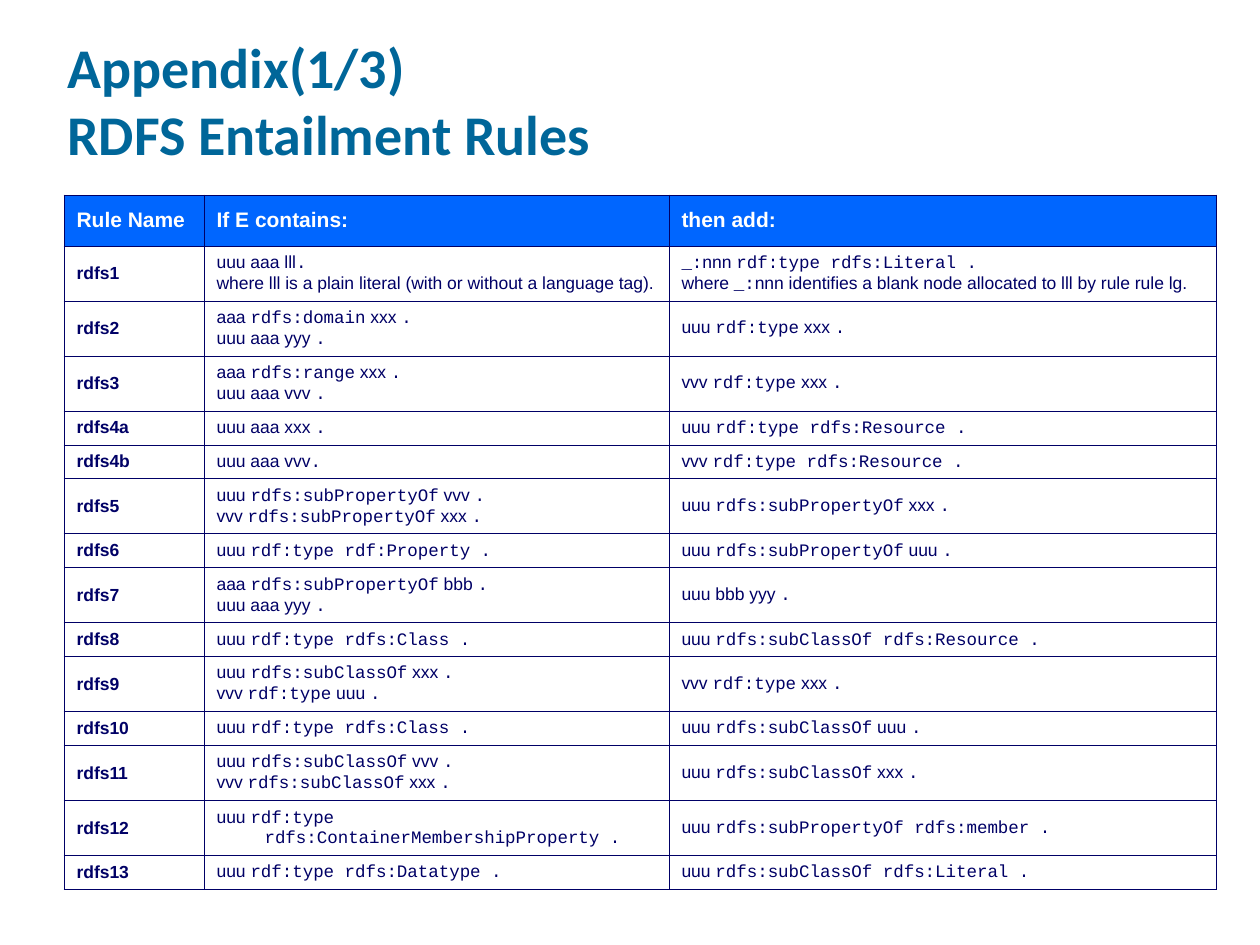
from lxml.etree import SubElement
from pptx import Presentation
from pptx.dml.color import RGBColor
from pptx.enum.text import MSO_ANCHOR
from pptx.oxml.ns import qn
from pptx.util import Pt

PX = 914400 // 126
NAVY, BLUE, TEAL, WHITE = "000066", "0066FF", "006699", "FFFFFF"

TITLE = "Appendix(1/3)\vRDFS Entailment Rules"
HEADINGS = ("Rule Name", "If E contains:", "then add:")
RULES = [
    ("rdfs1",
     "uuu aaa lll`.`\nwhere lll is a plain literal (with or without a language tag).",
     "`_:`nnn `rdf:type rdfs:Literal .`\n"
     "where `_:`nnn identifies a blank node allocated to lll by rule rule lg."),
    ("rdfs2", "aaa `rdfs:domain` xxx `.`\nuuu aaa yyy `.`", "uuu `rdf:type` xxx `.`"),
    ("rdfs3", "aaa `rdfs:range` xxx `.`\nuuu aaa vvv `.`", "vvv `rdf:type` xxx `.`"),
    ("rdfs4a", "uuu aaa xxx `.`", "uuu `rdf:type rdfs:Resource .`"),
    ("rdfs4b", "uuu aaa vvv`.`", "vvv `rdf:type rdfs:Resource .`"),
    ("rdfs5", "uuu `rdfs:subPropertyOf` vvv `.`\nvvv `rdfs:subPropertyOf` xxx `.`",
     "uuu `rdfs:subPropertyOf` xxx `.`"),
    ("rdfs6", "uuu `rdf:type rdf:Property .`", "uuu `rdfs:subPropertyOf` uuu `.`"),
    ("rdfs7", "aaa `rdfs:subPropertyOf` bbb `.`\nuuu aaa yyy `.`", "uuu bbb yyy `.`"),
    ("rdfs8", "uuu `rdf:type rdfs:Class .`", "uuu `rdfs:subClassOf rdfs:Resource .`"),
    ("rdfs9", "uuu `rdfs:subClassOf` xxx `.`\nvvv `rdf:type` uuu `.`", "vvv `rdf:type` xxx `.`"),
    ("rdfs10", "uuu `rdf:type rdfs:Class .`", "uuu `rdfs:subClassOf` uuu `.`"),
    ("rdfs11", "uuu `rdfs:subClassOf` vvv `.`\nvvv `rdfs:subClassOf` xxx `.`",
     "uuu `rdfs:subClassOf` xxx `.`"),
    ("rdfs12", "uuu `rdf:type rdfs:ContainerMembershipProperty .`",
     "uuu `rdfs:subPropertyOf rdfs:member .`"),
    ("rdfs13", "uuu `rdf:type rdfs:Datatype .`", "uuu `rdfs:subClassOf rdfs:Literal .`"),
]
COLUMN_WIDTHS = (140, 465, 547)
HEADING_HEIGHT, ONE_LINE, TWO_LINES = 51, 34, 55
TABLE_LEFT, TABLE_TOP = 64, 195
HANGING_INDENT = 48


def color(value):
    return RGBColor.from_string(value)


def write(frame, text, size=10, fill=NAVY, bold=False, font="Arial", indent=0):
    for number, line in enumerate(text.split("\n")):
        paragraph = frame.add_paragraph() if number else frame.paragraphs[0]
        if indent:
            properties = paragraph._p.get_or_add_pPr()
            properties.set("marL", str(indent * PX))
            properties.set("indent", str(-indent * PX))
        for position, piece in enumerate(line.split("`")):
            for part, words in enumerate(piece.split("\v")):
                if part:
                    paragraph.add_line_break()
                if words:
                    run = paragraph.add_run()
                    run.text = words
                    run.font.name = "Courier New" if position % 2 else font
                    run.font.size = Pt(size)
                    run.font.bold = bold
                    run.font.color.rgb = color(fill)


def outline(cell):
    properties = cell._tc.get_or_add_tcPr()
    for number, side in enumerate(("lnL", "lnR", "lnT", "lnB")):
        border = properties.makeelement(qn(f"a:{side}"), {"w": str(Pt(0.45))})
        solid = SubElement(border, qn("a:solidFill"))
        SubElement(solid, qn("a:srgbClr"), val=NAVY)
        properties.insert(number, border)


def add_title(slide):
    title = slide.shapes.add_textbox(55 * PX, 15 * PX, 1071 * PX, 158 * PX).text_frame
    title.word_wrap = True
    title.vertical_anchor = MSO_ANCHOR.BOTTOM
    write(title, TITLE, size=32, fill=TEAL, bold=True, font="Calibri")


def add_rules(slide):
    rows = [HEADINGS, *RULES]
    heights = [HEADING_HEIGHT] + [
        TWO_LINES if "\n" in condition else ONE_LINE for _, condition, _ in RULES
    ]
    table = slide.shapes.add_table(
        len(rows), len(COLUMN_WIDTHS), TABLE_LEFT * PX, TABLE_TOP * PX,
        sum(COLUMN_WIDTHS) * PX, sum(heights) * PX,
    ).table
    for column, width in zip(table.columns, COLUMN_WIDTHS):
        column.width = width * PX
    for row_number, (row, height) in enumerate(zip(rows, heights)):
        table.rows[row_number].height = height * PX
        heading = row_number == 0
        for column_number, text in enumerate(row):
            cell = table.cell(row_number, column_number)
            cell.vertical_anchor = MSO_ANCHOR.MIDDLE
            cell.fill.solid()
            cell.fill.fore_color.rgb = color(BLUE if heading else WHITE)
            outline(cell)
            write(cell.text_frame, text, size=12 if heading else 10,
                  fill=WHITE if heading else NAVY,
                  bold=heading or column_number == 0, indent=HANGING_INDENT)


def main():
    presentation = Presentation()
    presentation.slide_width = 1260 * PX
    presentation.slide_height = 945 * PX
    slide = presentation.slides.add_slide(presentation.slide_layouts[6])
    add_title(slide)
    add_rules(slide)
    presentation.save("out.pptx")


if __name__ == "__main__":
    main()
